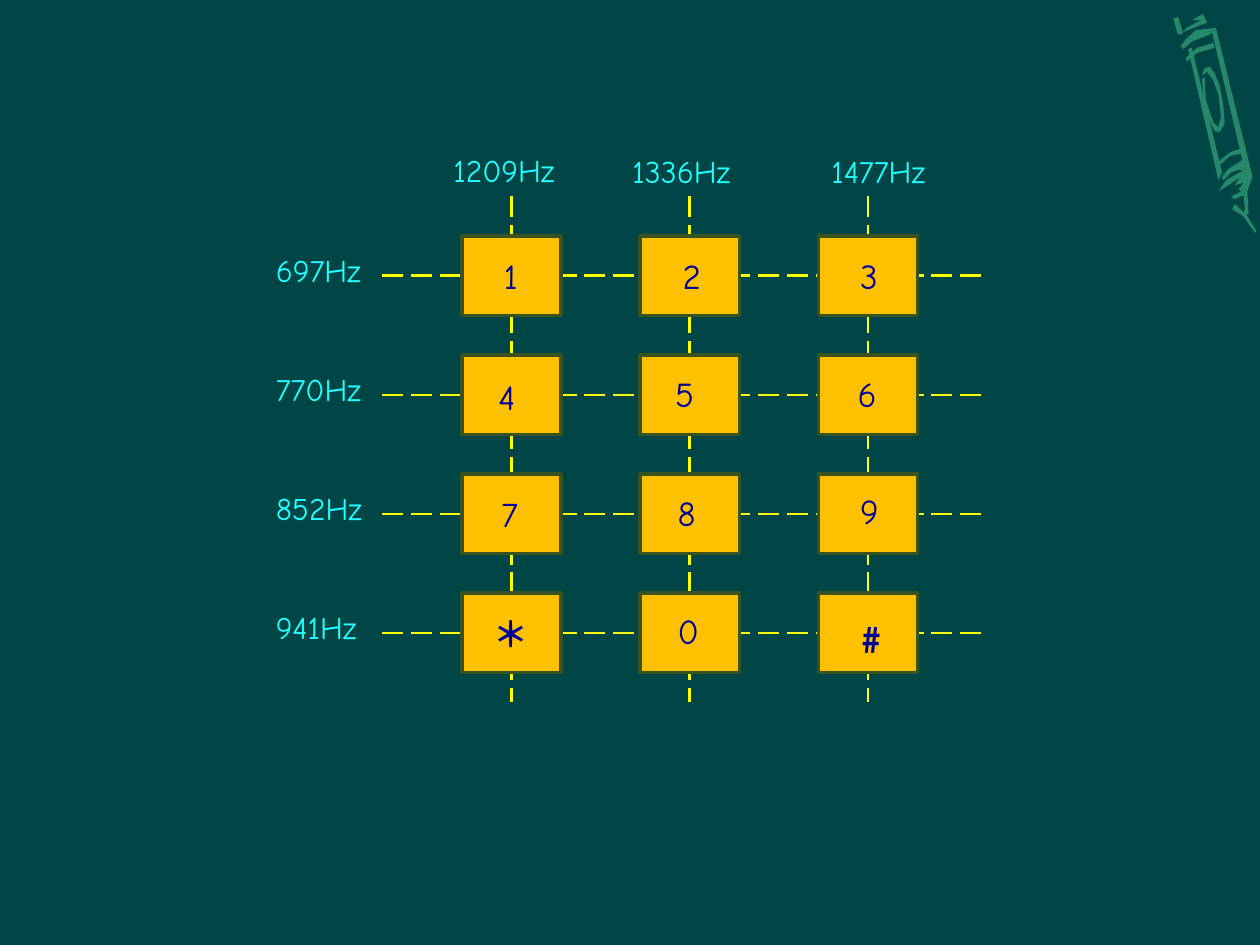
from dataclasses import dataclass

from lxml import etree
from pptx import Presentation
from pptx.dml.color import RGBColor
from pptx.enum.dml import MSO_LINE
from pptx.enum.shapes import MSO_CONNECTOR, MSO_SHAPE
from pptx.oxml.ns import qn
from pptx.slide import Slide
from pptx.util import Cm, Pt

RECT = MSO_SHAPE.RECTANGLE
LINE = MSO_CONNECTOR.STRAIGHT
DASH = MSO_LINE.LONG_DASH
FONT = "Comic Neue"
HUES = {
    "back": "004646",
    "pencil": "268868",
    "wire": "FFFF00",
    "key": "FFC000",
    "edge": "385320",
    "tone": "23FFFF",
    "digit": "000099",
}
COLS = [10.31 + 3.595 * i for i in range(3)]
ROWS = [5.56 + 2.4 * i for i in range(4)]
KEY_W, KEY_H = 2.0, 1.6
LEFT, RIGHT, TOP, FOOT = 7.7, 19.91, 3.96, 14.15
UNIT = Cm(0.0254)


@dataclass
class Label:
    text: str
    x: float
    y: float
    w: float = 1.6
    h: float = 1.12
    size: int = 20
    hue: str = "digit"
    bold: bool = False


def tone(text: str, x: float, y: float) -> Label:
    return Label(text, x, y, 3.0, 1.02, 18, "tone")


TONES = [
    tone("1209Hz", 8.89, 2.92),
    tone("1336Hz", 12.5, 2.95),
    tone("1477Hz", 16.51, 2.95),
] + [
    tone(text, 5.31, y - 0.63)
    for text, y in zip(("697Hz", "770Hz", "852Hz", "941Hz"), ROWS)
]

DIGITS = [
    Label("1", 9.91, 5.0),
    Label("2", 13.51, 5.0),
    Label("3", 17.09, 5.0),
    Label("4", 9.8, 7.44),
    Label("5", 13.36, 7.39),
    Label("6", 17.04, 7.39),
    Label("7", 9.86, 9.8),
    Label("8", 13.41, 9.78),
    Label("9", 17.09, 9.75),
    Label("＊", 9.7, 12.22, bold=True),
    Label("0", 13.41, 12.17),
    Label("﹟", 16.89, 12.17, h=1.27, size=24, bold=True),
]

PENCIL = [
    [(978, 166), (987, 172), (996, 185), (997, 183), (989, 170), (980, 162)],
    [(938, 26), (950, 21), (958, 18), (955, 11), (946, 16), (953, 16),
     (942, 22)],
    [(954, 63), (955, 75), (958, 92), (964, 104), (968, 105), (972, 98),
     (971, 84), (968, 68), (964, 58), (960, 53), (956, 54), (954, 60),
     (958, 57), (963, 64), (967, 75), (969, 92), (967, 101), (963, 97),
     (957, 79), (956, 61)],
    [(943, 39), (967, 143), (970, 137), (946, 38)],
    [(967, 152), (973, 143), (987, 135), (979, 135), (969, 141), (975, 134),
     (986, 127), (962, 26), (949, 29), (939, 33), (949, 24), (965, 22),
     (994, 140), (990, 152), (991, 170), (986, 171), (988, 166), (987, 155),
     (980, 158), (977, 156), (985, 152), (983, 150), (987, 145), (980, 147),
     (984, 141)],
    [(971, 143), (977, 137), (992, 131), (991, 129), (982, 131), (970, 141)],
    [(967, 132), (976, 124), (989, 121), (987, 117), (976, 121), (966, 129)],
    [(942, 49), (950, 42), (964, 38), (963, 34), (950, 38), (941, 46)],
    [(939, 39), (946, 33), (961, 27), (960, 24), (944, 30), (937, 36)],
]
PENCIL = [
    [(x - 900 if x >= 900 else x, y) for x, y in part] for part in PENCIL
]
PENCIL = [[(x + 900, y) for x, y in part] for part in PENCIL]


def color(name: str) -> RGBColor:
    return RGBColor.from_string(HUES[name])


def draw_line(slide: Slide, x1: float, y1: float, x2: float, y2: float,
              hue: str, width: float, dash: MSO_LINE | None = None) -> None:
    line = slide.shapes.add_connector(LINE, Cm(x1), Cm(y1), Cm(x2), Cm(y2))
    line.line.color.rgb = color(hue)
    line.line.width = Pt(width)
    if dash is not None:
        line.line.dash_style = dash
    etree.SubElement(line.line._get_or_add_ln().getparent(),
                     qn("a:effectLst"))


def draw_part(slide: Slide, part: list[tuple[int, int]]) -> None:
    pen = slide.shapes.build_freeform(*part[0], scale=UNIT)
    pen.add_line_segments(part[1:], close=True)
    shape = pen.convert_to_shape()
    shape.shadow.inherit = False
    shape.fill.solid()
    shape.fill.fore_color.rgb = color("pencil")
    shape.line.fill.background()


def draw_key(slide: Slide, x: float, y: float) -> None:
    key = slide.shapes.add_shape(RECT, Cm(x - KEY_W / 2), Cm(y - KEY_H / 2),
                                 Cm(KEY_W), Cm(KEY_H))
    key.shadow.inherit = False
    key.fill.solid()
    key.fill.fore_color.rgb = color("key")
    key.line.color.rgb = color("edge")
    key.line.width = Pt(2)


def draw_label(slide: Slide, label: Label) -> None:
    box = slide.shapes.add_textbox(Cm(label.x), Cm(label.y),
                                   Cm(label.w), Cm(label.h))
    frame = box.text_frame
    frame.word_wrap = True
    frame.text = label.text
    font = frame.paragraphs[0].runs[0].font
    font.name = FONT
    font.size = Pt(label.size)
    font.bold = label.bold
    font.color.rgb = color(label.hue)


def main() -> None:
    deck = Presentation()
    deck.slide_width, deck.slide_height = Cm(25.4), Cm(19.05)
    slide = deck.slides.add_slide(deck.slide_layouts[6])
    slide.background.fill.solid()
    slide.background.fill.fore_color.rgb = color("back")

    for part in PENCIL:
        draw_part(slide, part)
    draw_line(slide, 23.7, 0.36, 23.8, 0.69, "pencil", 3)

    for y in ROWS:
        draw_line(slide, LEFT, y, RIGHT, y, "wire", 1.5, DASH)
    for x in COLS:
        draw_line(slide, x, TOP, x, FOOT, "wire", 1.5, DASH)
    for y in ROWS:
        for x in COLS:
            draw_key(slide, x, y)
    for label in TONES + DIGITS:
        draw_label(slide, label)

    deck.save("out.pptx")


if __name__ == "__main__":
    main()
